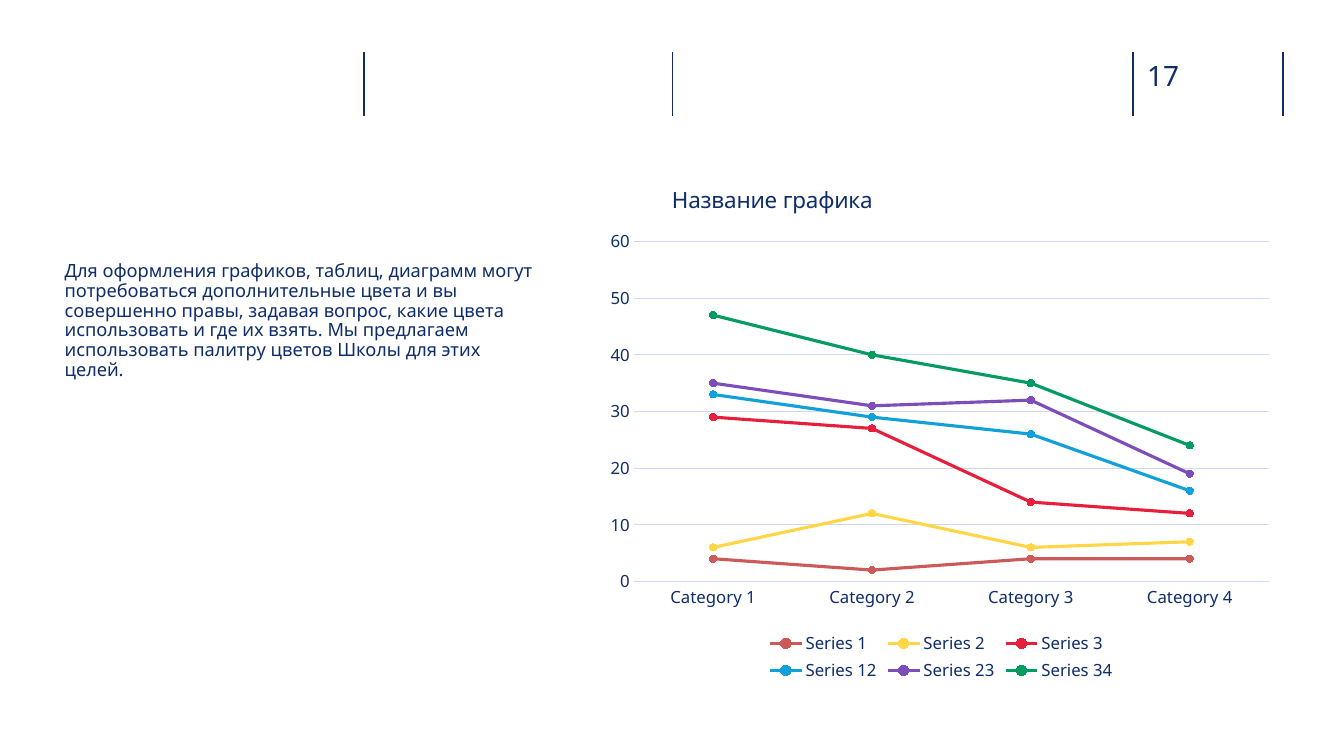
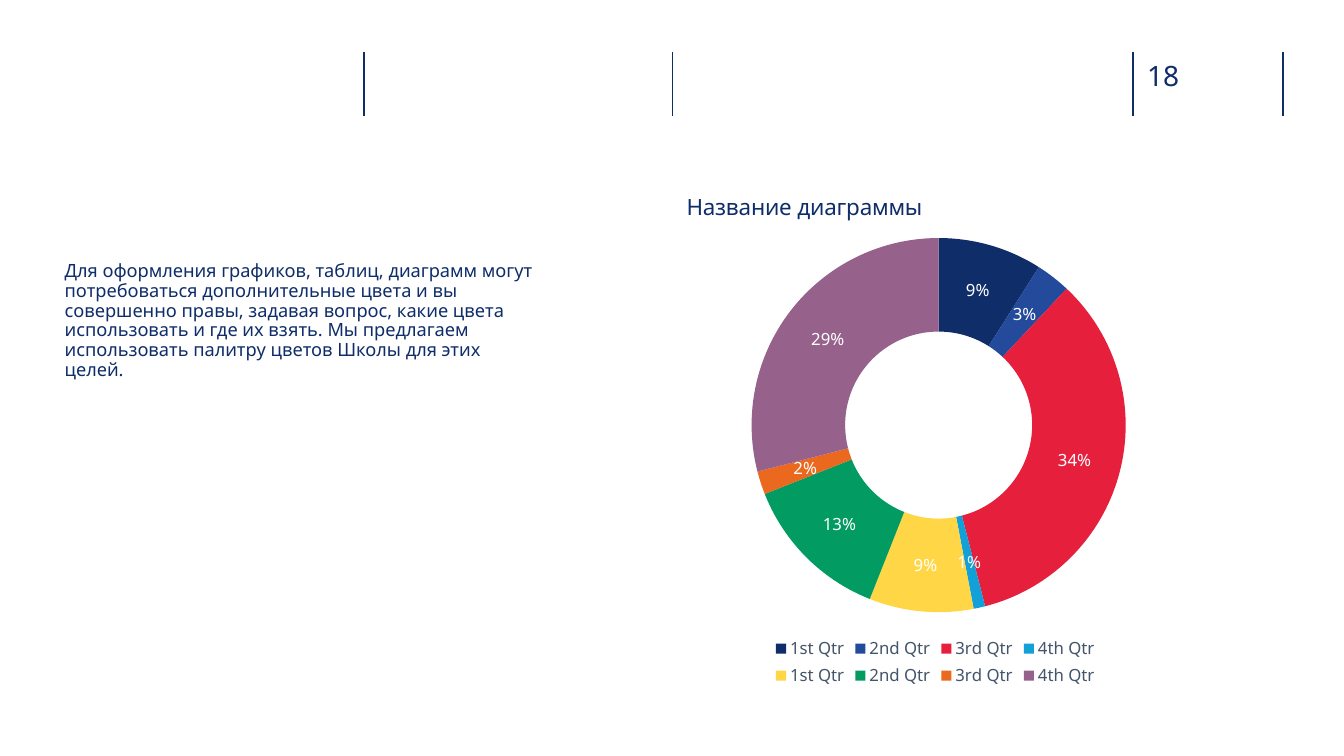
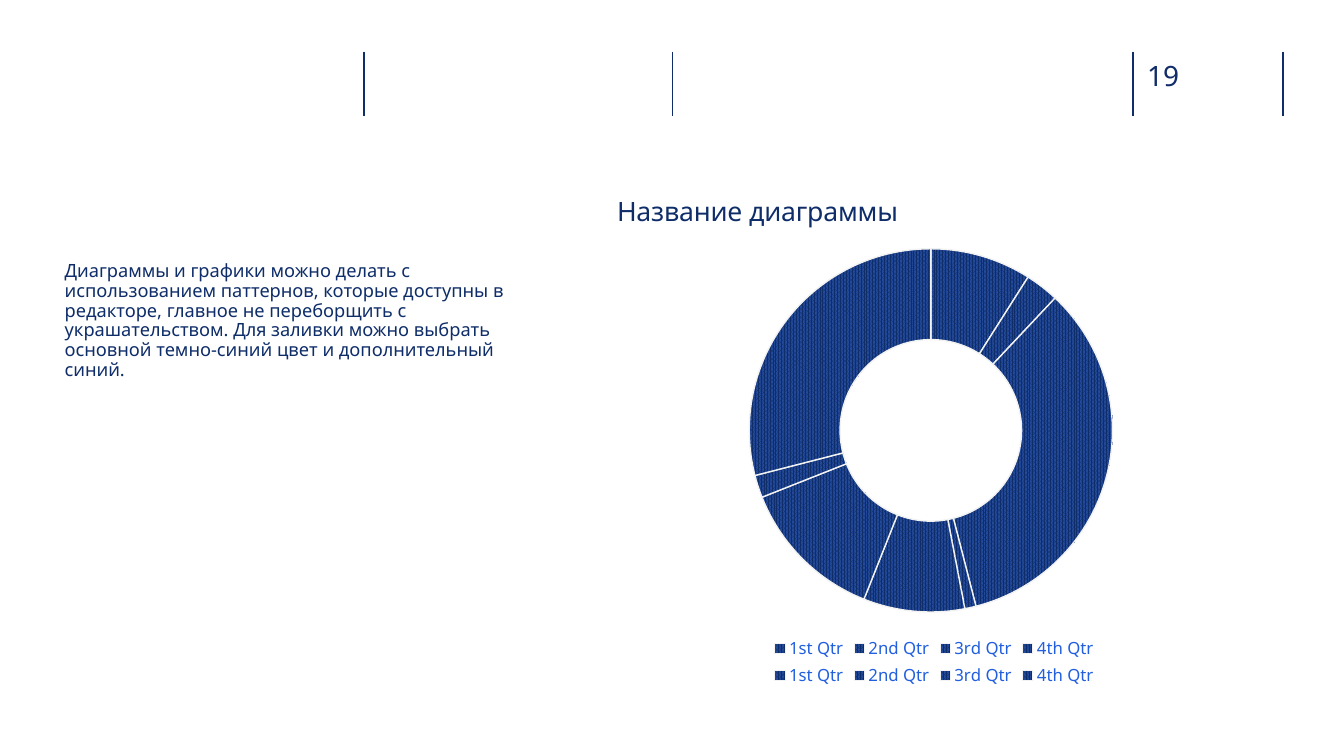
from lxml.etree import SubElement
from pptx import Presentation
from pptx.chart.data import CategoryChartData
from pptx.dml.color import RGBColor
from pptx.enum.chart import XL_CHART_TYPE, XL_LEGEND_POSITION, XL_MARKER_STYLE, XL_TICK_MARK
from pptx.enum.dml import MSO_PATTERN
from pptx.enum.shapes import MSO_CONNECTOR
from pptx.oxml.ns import qn
from pptx.util import Cm, Pt

FONT = "Noto Sans"
NAVY = "0E2D69"
RULE = "102D69"
BLUE = "234A9B"
GRID = "CCDAF8"
SLATE = "44546A"
BRIGHT = "215FDF"
WHITE = "FFFFFF"
PALE = "F2F2F2"

RULE_LEFTS = (9.17, 16.94, 28.55, 32.33)
RULE_TOP, RULE_BOTTOM = 1.3, 2.92
FIRST_NUMBER = 17

PALETTE_TEXT = (
    "Для оформления графиков, таблиц, диаграмм могут потребоваться "
    "дополнительные цвета и вы совершенно правы, задавая вопрос, какие цвета "
    "использовать и где их взять. Мы предлагаем использовать палитру цветов "
    "Школы для этих целей."
)
PATTERN_TEXT = (
    "Диаграммы и графики можно делать с использованием паттернов, которые "
    "доступны в редакторе, главное не переборщить с украшательством. Для "
    "заливки можно выбрать основной темно-синий цвет и дополнительный синий."
)

LINE_CATEGORIES = [f"Category {n}" for n in range(1, 5)]
LINE_SERIES = (
    ("Series 1", (4, 2, 4, 4), "CD5A5A", "CD5A5A"),
    ("Series 2", (2, 10, 2, 3), "FFD746", "FFD746"),
    ("Series 3", (23, 15, 8, 5), "E61F3D", "E61F3D"),
    ("Series 12", (4, 2, 12, 4), "11A0D7", "11A0D7"),
    ("Series 23", (2, 2, 6, 3), "7D4EBA", "96628C"),
    ("Series 34", (12, 9, 3, 5), "029C63", "029C63"),
)
QUARTERS = ["1st Qtr", "2nd Qtr", "3rd Qtr", "4th Qtr"] * 2
SHARES = (9, 3, 34, 1, 9, 13, 2, 29)
SHARE_COLORS = (NAVY, BLUE, "E61F3D", "11A0D7", "FFD746", "029C63", "EB681F", "96628C")


def color(value):
    return RGBColor.from_string(value)


def apply(obj, values):
    for name, value in values.items():
        setattr(obj, name, value)


def style_font(font, size, hue):
    apply(font, {"name": FONT, "size": Pt(size), "bold": False})
    font.color.rgb = color(hue)


def style_line(line, hue, width):
    line.color.rgb = color(hue)
    line.width = Pt(width)


def add_text(s, box, text, size, hue, frame=None, paragraph=None):
    tf = s.shapes.add_textbox(*map(Cm, box)).text_frame
    apply(tf, {"word_wrap": True, "margin_left": 0, "margin_right": 0,
               "margin_top": 0, "margin_bottom": 0, **(frame or {})})
    p = tf.paragraphs[0]
    apply(p, paragraph or {})
    r = p.add_run()
    r.text = text
    style_font(r.font, size, hue)


def add_rule(s, left):
    sp = s.shapes.add_connector(MSO_CONNECTOR.STRAIGHT, Cm(left), Cm(RULE_TOP),
                                Cm(left), Cm(RULE_BOTTOM))
    style_line(sp.line, RULE, 1)
    SubElement(sp._element.spPr, qn("a:effectLst"))


def add_page(prs, number, text):
    s = prs.slides.add_slide(prs.slide_layouts[6])
    for left in RULE_LEFTS:
        add_rule(s, left)
    add_text(s, (28.91, 1.47, 1.85, 0.86), str(number), 20, RULE)
    add_text(s, (1.63, 6.6, 12.01, 6.65), text, 13, NAVY,
             {"margin_bottom": Cm(0.13)},
             {"space_before": Pt(10), "line_spacing": 0.9})
    return s


def place(parent, index, values):
    for old in parent.findall(qn("c:layout")):
        parent.remove(old)
    layout = parent.makeelement(qn("c:layout"))
    parent.insert(index, layout)
    manual = SubElement(layout, qn("c:manualLayout"))
    for tag, value in values.items():
        SubElement(manual, qn(f"c:{tag}")).set("val", str(value))


def add_chart(s, kind, box, data, title, title_size, title_at, plot_box, legend_hue):
    chart = s.shapes.add_chart(kind, *map(Cm, box), data).chart
    style_font(chart.font, 10, NAVY)
    apply(chart, {"has_title": True, "has_legend": True})
    tf = chart.chart_title.text_frame
    tf.text = title
    style_font(tf.paragraphs[0].runs[0].font, title_size, NAVY)
    edges = {"xMode": "edge", "yMode": "edge"}
    place(chart.chart_title._element, 1, {**edges, **dict(zip("xy", title_at))})
    place(chart._chartSpace.chart.plotArea, 0,
          {"layoutTarget": "inner", **edges, **dict(zip("xywh", plot_box))})
    apply(chart.legend, {"position": XL_LEGEND_POSITION.BOTTOM, "include_in_layout": False})
    style_font(chart.legend.font, 12, legend_hue)
    return chart


def add_line_chart(s):
    data = CategoryChartData()
    data.categories = LINE_CATEGORIES
    for name, values, _, _ in LINE_SERIES:
        data.add_series(name, values)
    chart = add_chart(s, XL_CHART_TYPE.LINE_MARKERS_STACKED, (15.11, 4.11, 17.22, 13.18),
                      data, "Название графика", 16, (0.1, 0.03),
                      (0.05, 0.15, 0.93, 0.65), NAVY)
    for axis in (chart.category_axis, chart.value_axis):
        apply(axis, {"major_tick_mark": XL_TICK_MARK.NONE, "minor_tick_mark": XL_TICK_MARK.NONE})
        style_font(axis.tick_labels.font, 12, NAVY)
    style_line(chart.category_axis.format.line, GRID, 0.75)
    apply(chart.value_axis, {"minimum_scale": 0, "maximum_scale": 60, "major_unit": 10})
    chart.value_axis.format.line.fill.background()
    style_line(chart.value_axis.major_gridlines.format.line, GRID, 0.75)
    plot = chart.plots[0]
    plot.vary_by_categories = False
    for series, (_, _, hue, marker_hue) in zip(plot.series, LINE_SERIES):
        series.smooth = False
        style_line(series.format.line, hue, 2.25)
        marker = series.marker
        apply(marker, {"style": XL_MARKER_STYLE.CIRCLE, "size": 5})
        marker.format.fill.solid()
        marker.format.fill.fore_color.rgb = color(marker_hue)
        marker.format.line.color.rgb = color(marker_hue)


def add_doughnut(s, box, title_size, title_at, plot_box, legend_hue, hole, paint):
    data = CategoryChartData()
    data.categories = QUARTERS
    data.add_series("Series 1", SHARES)
    chart = add_chart(s, XL_CHART_TYPE.DOUGHNUT, box, data, "Название диаграммы",
                      title_size, title_at, plot_box, legend_hue)
    plot = chart.plots[0]
    apply(plot, {"vary_by_categories": True, "has_data_labels": False})
    plot._element.find(qn("c:holeSize")).set("val", str(hole))
    for i, hue in enumerate(SHARE_COLORS):
        paint(plot.series[0].points[i].format, hue)
    return plot


def paint_solid(fmt, hue):
    fmt.fill.solid()
    fmt.fill.fore_color.rgb = color(hue)
    fmt.line.fill.background()


def paint_pattern(fmt, _):
    fmt.fill.patterned()
    fmt.fill.pattern = MSO_PATTERN.PERCENT_80
    fmt.fill.fore_color.rgb = color(NAVY)
    fmt.fill.back_color.rgb = color(BLUE)
    style_line(fmt.line, PALE, 1)


def add_color_doughnut(s):
    plot = add_doughnut(s, (14.96, 4.14, 17.22, 13.28), 16, (0.13, 0.04),
                        (0.23, 0.14, 0.55, 0.71), SLATE, 47, paint_solid)
    labels = plot.series[0].data_labels
    apply(labels, {"show_percentage": True, "show_value": False,
                   "number_format": "0%", "number_format_is_linked": False})
    style_font(labels.font, 12, WHITE)


def add_pattern_doughnut(s):
    add_doughnut(s, (14.91, 4.14, 17.27, 13.28), 19, (0.03, 0.04),
                 (0.23, 0.16, 0.53, 0.69), BRIGHT, 42, paint_pattern)


def main():
    prs = Presentation()
    apply(prs, {"slide_width": Cm(33.87), "slide_height": Cm(19.05)})
    pages = (
        (PALETTE_TEXT, add_line_chart),
        (PALETTE_TEXT, add_color_doughnut),
        (PATTERN_TEXT, add_pattern_doughnut),
    )
    for number, (text, draw) in enumerate(pages, FIRST_NUMBER):
        draw(add_page(prs, number, text))
    prs.save("out.pptx")


if __name__ == "__main__":
    main()
